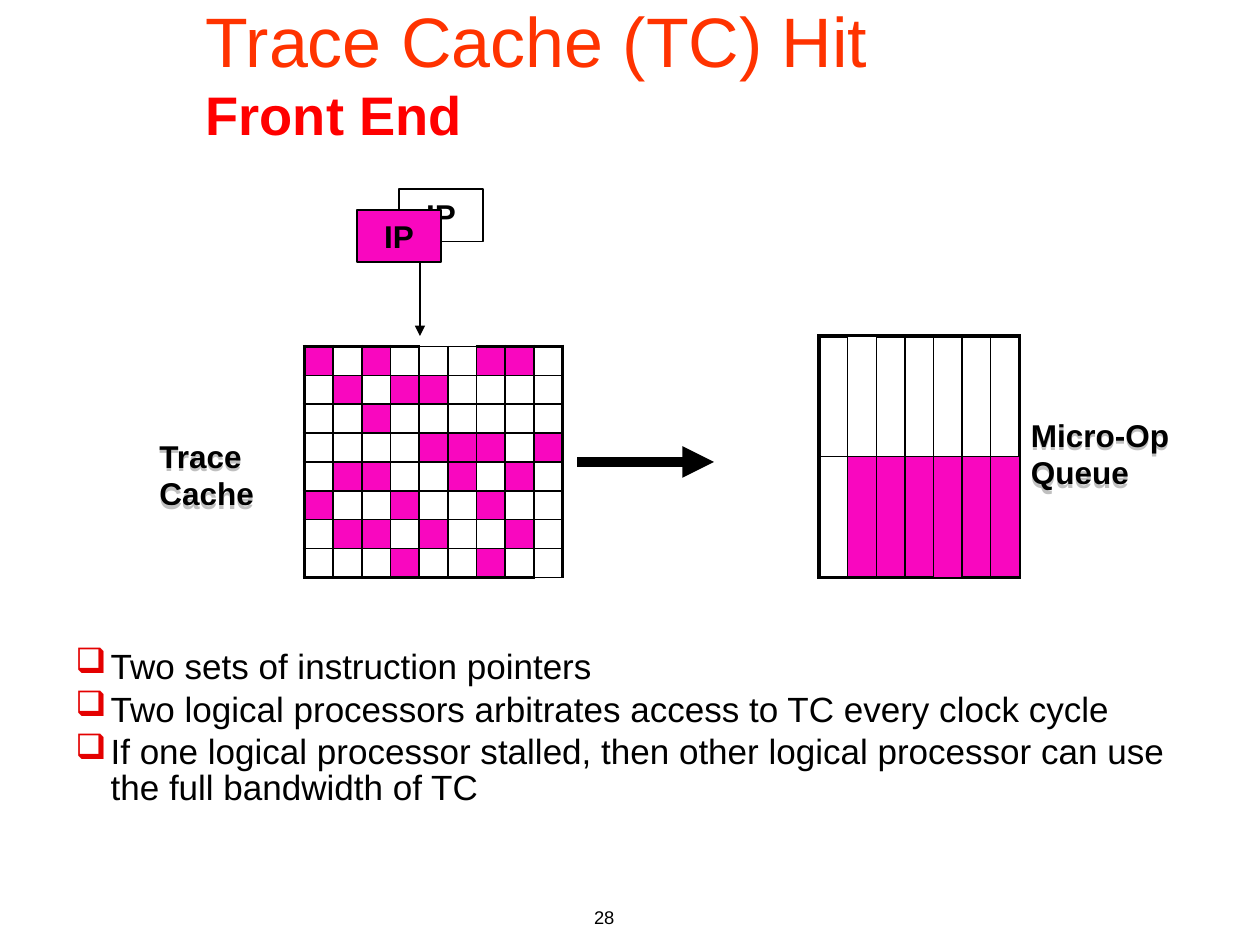
import pptx
import pptx.util
import pptx.dml.color
import pptx.enum.shapes
import pptx.enum.text
import pptx.oxml.ns
from lxml import etree

BLACK = pptx.dml.color.RGBColor(0x00, 0x00, 0x00)
WHITE = pptx.dml.color.RGBColor(0xFF, 0xFF, 0xFF)
PINK = pptx.dml.color.RGBColor(0xF9, 0x07, 0xBF)
ORANGE = pptx.dml.color.RGBColor(0xFF, 0x33, 0x00)
RED = pptx.dml.color.RGBColor(0xFF, 0x00, 0x00)
BULLET_RED = pptx.dml.color.RGBColor(0xE4, 0x00, 0x00)
SHADOW_GRAY = pptx.dml.color.RGBColor(0xC0, 0xC0, 0xC0)

FONT = "Arial"
THIN, THICK = 1, 2.25
Pt = pptx.util.Pt
qn = pptx.oxml.ns.qn

presentation = pptx.Presentation()
presentation.slide_width = pptx.util.Inches(10)
presentation.slide_height = pptx.util.Inches(7.5)
slide = presentation.slides.add_slide(presentation.slide_layouts[6])
shapes = slide.shapes

# The layout grid has 120 columns and 90 rows.
UNIT = presentation.slide_width / 120


def grid(*lengths):
    """Turn grid columns or rows into slide lengths."""
    return [round(length * UNIT) for length in lengths]


def add_cell_table(left, top, width, height, pattern, thin_edges):
    """Draw # as pink, . as white and - as unfilled, inside a thick frame.

    thin_edges lists the (row, column, side) places where the frame is thin.
    """
    row_count, column_count = len(pattern), len(pattern[0])
    frame = shapes.add_table(row_count, column_count, *grid(left, top, width, height))
    table = frame.table
    table.first_row = table.horz_banding = False
    for column in table.columns:
        column.width = round(width * UNIT / column_count)
    for row in table.rows:
        row.height = round(height * UNIT / row_count)
    for r, marks in enumerate(pattern):
        for c, mark in enumerate(marks):
            cell = table.cell(r, c)
            cell.margin_left = cell.margin_right = 0
            cell.margin_top = cell.margin_bottom = 0
            paragraph = cell.text_frame.paragraphs[0]
            etree.SubElement(paragraph._p, qn("a:endParaRPr"), sz="800")
            on_frame = {"L": c == 0, "R": c == column_count - 1,
                        "T": r == 0, "B": r == row_count - 1}
            properties = cell._tc.get_or_add_tcPr()
            for side, outer in on_frame.items():
                points = THICK if outer and (r, c, side) not in thin_edges else THIN
                border = etree.SubElement(properties, qn("a:ln" + side), w=str(Pt(points)))
                fill = etree.SubElement(border, qn("a:solidFill"))
                etree.SubElement(fill, qn("a:srgbClr"), val=str(BLACK))
            if mark == "-":
                cell.fill.background()
            else:
                cell.fill.solid()
                cell.fill.fore_color.rgb = PINK if mark == "#" else WHITE


# Page number
page_number = shapes.add_textbox(*grid(34.7, 85.7, 25, 6))
paragraph = page_number.text_frame.paragraphs[0]
paragraph.text = "28"
paragraph.alignment = pptx.enum.text.PP_ALIGN.RIGHT
paragraph.font.name, paragraph.font.size = FONT, Pt(10.5)
paragraph.font.color.rgb = BLACK

# Title
title = shapes.add_textbox(*grid(18.4, 0, 95.6, 13.7))
title.fill.solid()
title.fill.fore_color.rgb = WHITE
title.text_frame.word_wrap = True
title.text_frame.vertical_anchor = pptx.enum.text.MSO_ANCHOR.MIDDLE
paragraph = title.text_frame.paragraphs[0]
for text, size, color, bold in [("Trace Cache (TC) Hit", 40, ORANGE, False),
                                ("Front End", 31, RED, True)]:
    if paragraph.runs:
        paragraph.add_line_break()
    run = paragraph.add_run()
    run.text = text
    run.font.name, run.font.size, run.font.bold = FONT, Pt(size), bold
    run.font.color.rgb = color

# Bullet list
body = shapes.add_textbox(*grid(6, 61.4, 108, 24))
body.text_frame.word_wrap = True
bullets = [
    "Two sets of instruction pointers",
    "Two logical processors arbitrates access to TC every clock cycle",
    "If one logical processor stalled, then other logical processor can use "
    "the full bandwidth of TC",
]
indent = pptx.util.Inches(0.28)
for index, text in enumerate(bullets):
    paragraph = body.text_frame.add_paragraph() if index else body.text_frame.paragraphs[0]
    paragraph.text = text
    paragraph.line_spacing = 0.85
    if index:
        paragraph.space_before = Pt(4)
    properties = paragraph._p.get_or_add_pPr()
    properties.set("marL", str(indent))
    properties.set("indent", str(-indent))
    bullet_color = etree.SubElement(properties, qn("a:buClr"))
    etree.SubElement(bullet_color, qn("a:srgbClr"), val=str(BULLET_RED))
    etree.SubElement(properties, qn("a:buChar"), char="❑")
    paragraph.font.name, paragraph.font.size = FONT, Pt(20)
    paragraph.font.color.rgb = BLACK

# Trace cache: filled cells below, grid lines above
trace_cells = [
    "#.#...##.",
    ".#.##....",
    "..#......",
    "....###.#",
    ".##..#.#.",
    "#..#..#..",
    ".##.#..#.",
    "...#..#..",
]
trace_thin_edges = {(0, 4, "T"), (0, 5, "T"), (7, 8, "B")}
for pattern in (trace_cells, ["-" * 9] * 8):
    add_cell_table(29, 33, 24.6, 22, pattern, trace_thin_edges)

# Instruction pointers
for left, top, color in [(38, 18, WHITE), (34, 20, PINK)]:
    pointer = shapes.add_shape(pptx.enum.shapes.MSO_SHAPE.RECTANGLE, *grid(left, top, 8, 5))
    pointer.shadow.inherit = False
    pointer.fill.solid()
    pointer.fill.fore_color.rgb = color
    pointer.line.color.rgb = BLACK
    pointer.line.width = Pt(THIN)
    pointer.text_frame.word_wrap = False
    pointer.text_frame.vertical_anchor = pptx.enum.text.MSO_ANCHOR.MIDDLE
    paragraph = pointer.text_frame.paragraphs[0]
    paragraph.text = "IP"
    paragraph.alignment = pptx.enum.text.PP_ALIGN.CENTER
    paragraph.font.name, paragraph.font.size, paragraph.font.bold = FONT, Pt(18), True
    paragraph.font.color.rgb = BLACK

# Micro-op queue: one-row outline below, two-row cells above
add_cell_table(78, 32, 19.1, 23, ["-------"], set())
add_cell_table(78, 32, 19.1, 23, ["-......", "-######"],
               {(0, 1, "T"), (1, 4, "B"), (1, 6, "R")})

# Arrows: pointer to cache, cache to queue
for ends, points in [((40, 25, 40, 32), THIN), ((55, 44, 68, 44), 6)]:
    arrow = shapes.add_connector(pptx.enum.shapes.MSO_CONNECTOR.STRAIGHT, *grid(*ends))
    arrow.line.color.rgb = BLACK
    arrow.line.width = Pt(points)
    etree.SubElement(arrow.line._get_or_add_ln(), qn("a:tailEnd"), type="triangle")
    etree.SubElement(arrow._element.spPr, qn("a:effectLst"))

# Labels with a soft drop shadow
for text, left, top, width in [("Trace Cache", 14, 41, 12), ("Micro-Op Queue", 97, 39, 20)]:
    label = shapes.add_textbox(*grid(left, top, width, 8.4))
    label.text_frame.word_wrap = True
    paragraph = label.text_frame.paragraphs[0]
    paragraph.text = text
    paragraph.font.name, paragraph.font.size, paragraph.font.bold = FONT, Pt(18), True
    paragraph.font.color.rgb = BLACK
    effects = etree.SubElement(label._element.spPr, qn("a:effectLst"))
    shadow = etree.SubElement(effects, qn("a:outerShdw"), dist=str(Pt(2)), dir="5400000")
    etree.SubElement(shadow, qn("a:srgbClr"), val=str(SHADOW_GRAY))

presentation.save("out.pptx")
